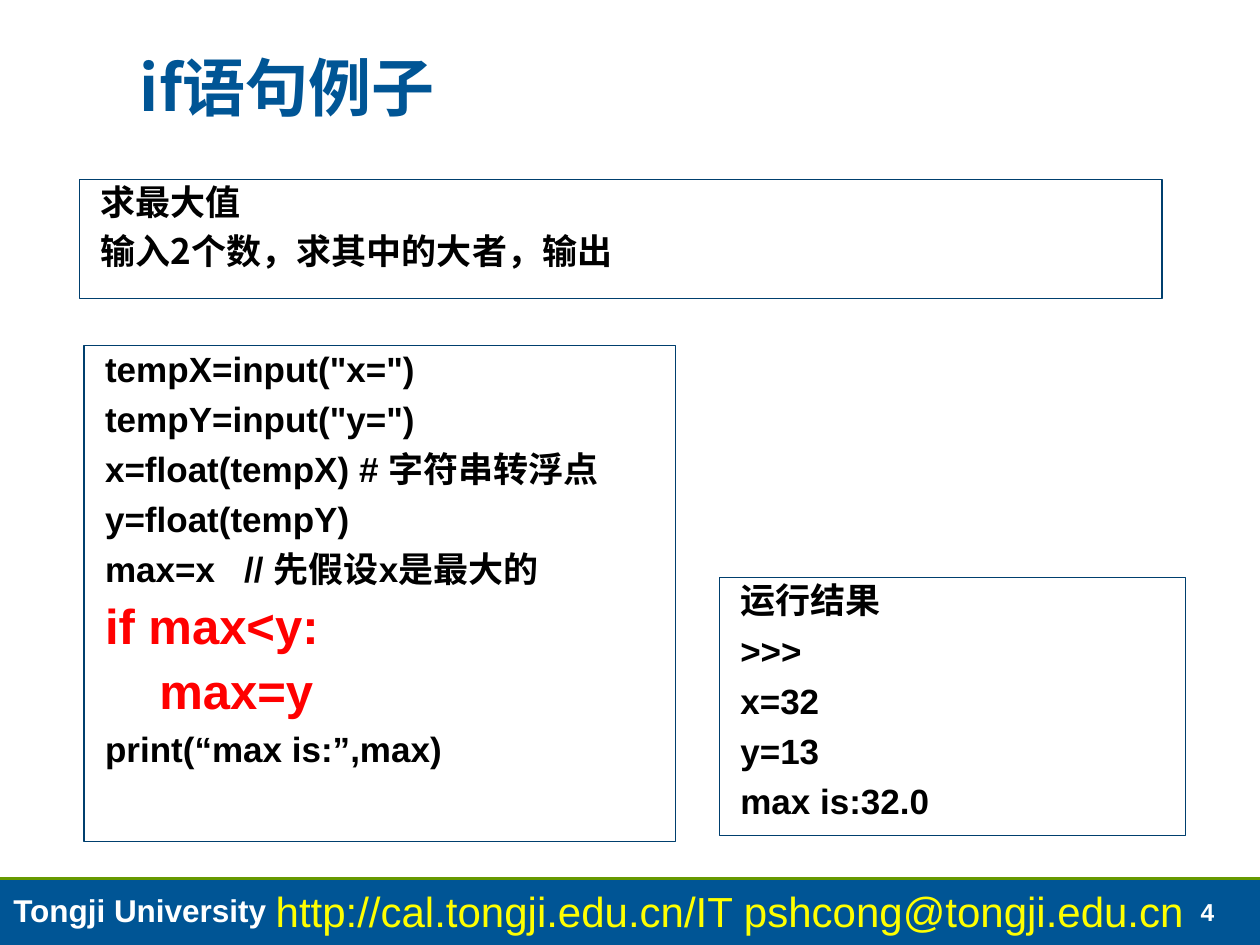
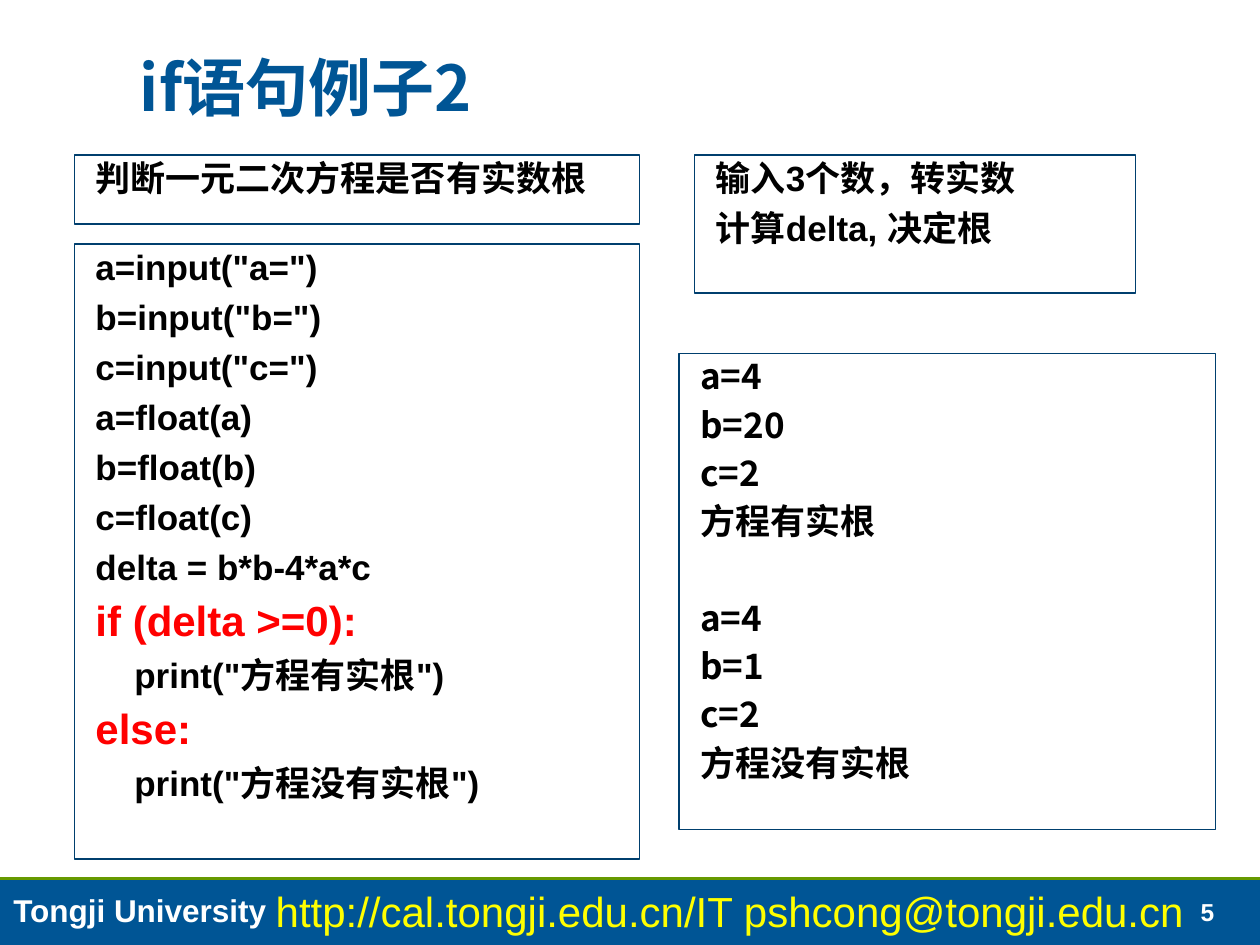
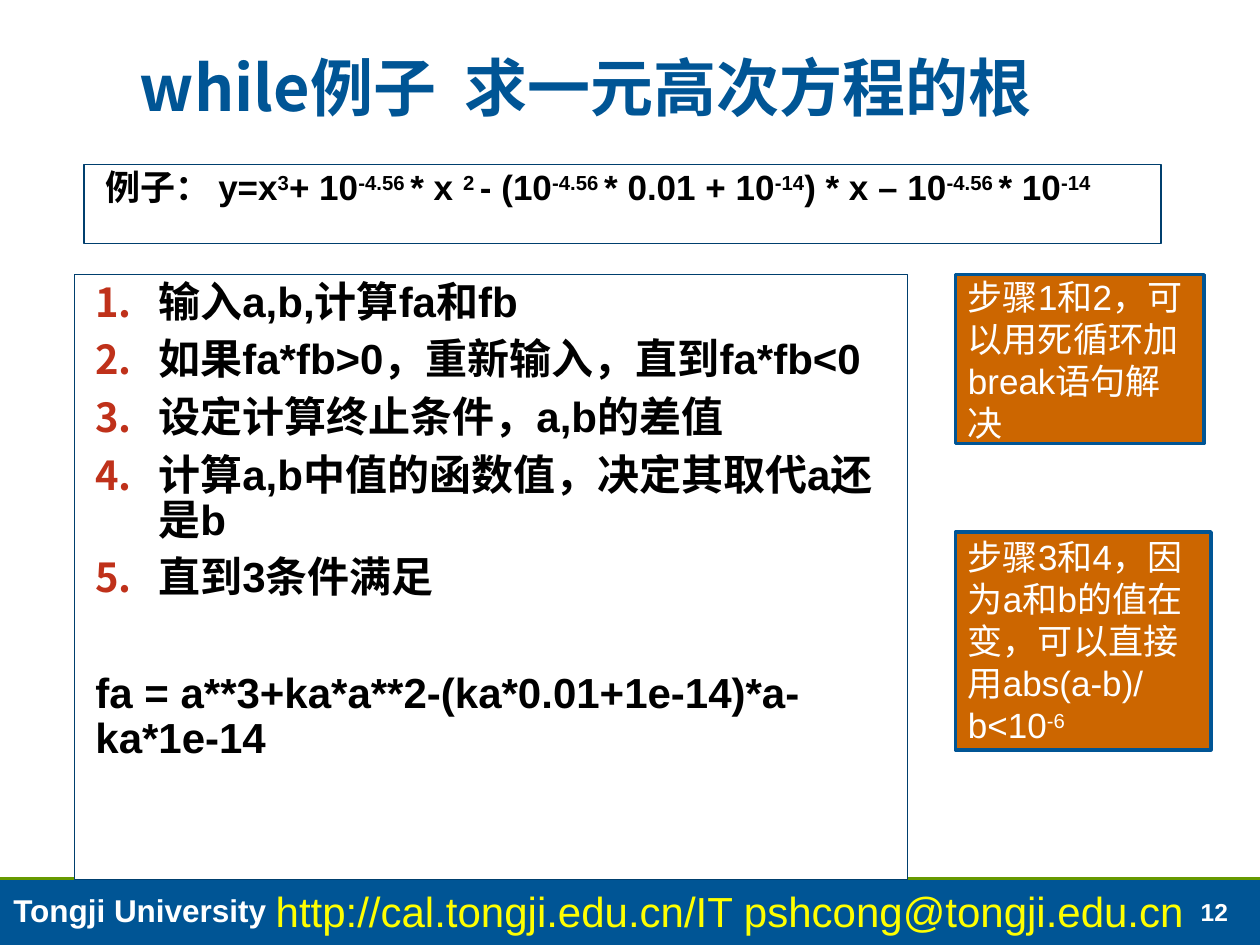
"""Build three lecture slides on if and while statements."""
from lxml.etree import SubElement
from pptx import Presentation
from pptx.dml.color import RGBColor
from pptx.enum.shapes import MSO_CONNECTOR, MSO_SHAPE
from pptx.enum.text import MSO_ANCHOR, PP_ALIGN
from pptx.oxml.ns import qn
from pptx.util import Pt

HUES = {"white": "FFFFFF", "black": "000000", "blue": "005595", "edge": "003F6E",
        "green": "669900", "yellow": "FFFF00", "red": "FF0000",
        "rust": "BF311A", "orange": "CC6600"}
LATIN, HAN, BODY = "Arial", "Noto Sans CJK SC", "Noto Sans CJK JP"
WIDE, HIGH, BAND = 720, 540, 502
SCHOOL = "Tongji University"
LINK = "http://cal.tongji.edu.cn/IT pshcong@tongji.edu.cn"

PANEL = dict(fill="white", edge="edge", weight=0.75, font=LATIN, size=20, tone="black",
             bold=True, lead=0.9, gap=7, indent=5)
PROSE = PANEL | dict(font=BODY, gap=6)
STEPS = PANEL | dict(size=24)
NOTE = dict(fill="orange", edge="blue", weight=2, size=20, tone="white",
            anchor=MSO_ANCHOR.MIDDLE)
TITLE = dict(font=HAN, size=36, tone="blue", bold=True, lead=0.95,
             anchor=MSO_ANCHOR.BOTTOM, inset=32)


def hot(text, size):
    """Return a highlighted code line."""
    return dict(runs=[text], size=size, tone="red")


def step(text):
    """Return a numbered line."""
    return dict(runs=[text], number=True)


SLIDES = [
    ("4", "if语句例子", [
        (PROSE, (45.5, 102.5, 618.5, 68), ["求最大值", "输入2个数，求其中的大者，输出"]),
        (PANEL, (411, 330, 266.5, 147.5),
         ["运行结果", ">>>", "x=32", "y=13", "max is:32.0"]),
        (PANEL, (48, 197.5, 338, 283.5),
         ['tempX=input("x=")', 'tempY=input("y=")', "x=float(tempX) # 字符串转浮点",
          "y=float(tempY)", "max=x   // 先假设x是最大的", hot("if max<y:", 28),
          hot("    max=y", 28), "print(“max is:”,max)"]),
    ]),
    ("5", "if语句例子2", [
        (PROSE, (388, 202, 306.5, 272),
         ["a=4", "b=20", "c=2", "方程有实根", dict(runs=["a=4"], gap=33.5),
          "b=1", "c=2", "方程没有实根"]),
        (PANEL, (42.5, 88.5, 323, 39.5), ["判断一元二次方程是否有实数根"]),
        (PANEL, (42.5, 139.5, 323, 351.5),
         ['a=input("a=")', 'b=input("b=")', 'c=input("c=")', "a=float(a)", "b=float(b)",
          "c=float(c)", "delta = b*b-4*a*c", hot("if (delta >=0):", 24),
          '    print("方程有实根")', hot("else:", 24), '    print("方程没有实根")']),
        (PANEL, (397, 88.5, 252, 79), ["输入3个数，转实数", "计算delta, 决定根"]),
    ]),
    ("12", "while例子  求一元高次方程的根", [
        (PANEL, (48, 94, 615.5, 45),
         [dict(runs=["例子： y=x", "3", "+ 10", "-4.56 ", "* x ", "2 ", "- (10", "-4.56 ",
                     "* 0.01 + 10", "-14", ") * x – 10", "-4.56 ", "* 10", "-14"])]),
        (STEPS, (42.5, 157, 476, 345.5),
         [step("输入a,b,计算fa和fb"), step("如果fa*fb>0，重新输入，直到fa*fb<0"),
          step("设定计算终止条件，a,b的差值"), step("计算a,b中值的函数值，决定其取代a还是b"),
          step("直到3条件满足"),
          dict(runs=["fa = a**3+ka*a**2-(ka*0.01+1e-14)*a-ka*1e-14"], gap=40)]),
        (NOTE, (546, 157, 142, 96.5), ["步骤1和2，可以用死循环加break语句解决"]),
        (NOTE, (546, 304, 146, 124.5),
         [dict(runs=["步骤3和4，因为a和b的值在变，可以直接用abs(a-b)/b<10", "-6"])]),
    ]),
]


def hue(name):
    """Return a named colour."""
    return RGBColor.from_string(HUES[name])


def mark(para):
    """Number a paragraph with a hanging indent."""
    props = para._p.get_or_add_pPr()
    props.set("marL", str(Pt(41)))
    props.set("indent", str(-Pt(36)))
    tint = SubElement(props, qn("a:buClr"))
    SubElement(tint, qn("a:srgbClr"), val=HUES["rust"])
    SubElement(props, qn("a:buSzPct"), val="95000")
    SubElement(props, qn("a:buFont"), typeface=HAN)
    SubElement(props, qn("a:buAutoNum"), type="arabicPeriod")


def write(frame, lines, look):
    """Fill a frame; every second run of a line is raised."""
    for rank, line in enumerate(lines):
        item = look | (dict(runs=[line]) if isinstance(line, str) else line)
        para = frame.paragraphs[0] if rank == 0 else frame.add_paragraph()
        para.alignment = PP_ALIGN.LEFT
        if item.get("number"):
            mark(para)
        elif "indent" in item:
            para._p.get_or_add_pPr().set("marL", str(Pt(item["indent"])))
        para.line_spacing = item.get("lead", 1.0)
        para.space_before = Pt(item.get("gap", 0) if rank else 0)
        for spot, text in enumerate(item["runs"]):
            run = para.add_run()
            run.text = text
            font = run.font
            font.name = item.get("font", LATIN)
            font.size = Pt(item["size"])
            font.bold = item.get("bold", False)
            font.color.rgb = hue(item["tone"])
            props = run._r.get_or_add_rPr()
            face = BODY if font.name == BODY else HAN
            SubElement(props, qn("a:ea"), typeface=face)
            if spot % 2:
                props.set("baseline", "30000")


def place(slide, look, area, lines):
    """Add a filled box or a plain text box."""
    spots = [Pt(part) for part in area]
    if "fill" in look:
        box = slide.shapes.add_shape(MSO_SHAPE.RECTANGLE, *spots)
        box.shadow.inherit = False
        box.fill.solid()
        box.fill.fore_color.rgb = hue(look["fill"])
        if "edge" in look:
            box.line.color.rgb = hue(look["edge"])
            box.line.width = Pt(look["weight"])
        else:
            box.line.fill.background()
    else:
        box = slide.shapes.add_textbox(*spots)
    frame = box.text_frame
    frame.word_wrap = look.get("wrap", True)
    frame.vertical_anchor = look.get("anchor", MSO_ANCHOR.TOP)
    frame.margin_left = Pt(look.get("inset", 7.2))
    write(frame, lines, look)


def foot(slide, number):
    """Draw the band, its rule and the footer text."""
    place(slide, dict(fill="blue"), (0, BAND, WIDE, HIGH - BAND), [])
    rule = slide.shapes.add_connector(MSO_CONNECTOR.STRAIGHT, 0, Pt(BAND), Pt(WIDE), Pt(BAND))
    rule.line.color.rgb = hue("green")
    rule.line.width = Pt(2)
    SubElement(rule._element.spPr, qn("a:effectLst"))
    plain = dict(size=18, tone="white", bold=True)
    place(slide, plain | dict(size=14, wrap=False, anchor=MSO_ANCHOR.BOTTOM),
          (679, 508.5, 38, 24.5), [number])
    place(slide, plain, (0.5, 505.5, 253, 29), [SCHOOL])
    place(slide, dict(size=24, tone="yellow"), (150.5, 502.5, 556, 36), [LINK])


def main():
    """Build and save the deck."""
    deck = Presentation()
    deck.slide_width, deck.slide_height = Pt(WIDE), Pt(HIGH)
    for number, title, boxes in SLIDES:
        slide = deck.slides.add_slide(deck.slide_layouts[6])
        foot(slide, number)
        place(slide, TITLE, (48, 26.5, 628.5, 49), [title])
        for look, area, lines in boxes:
            place(slide, look, area, lines)
    deck.save("out.pptx")


if __name__ == "__main__":
    main()
